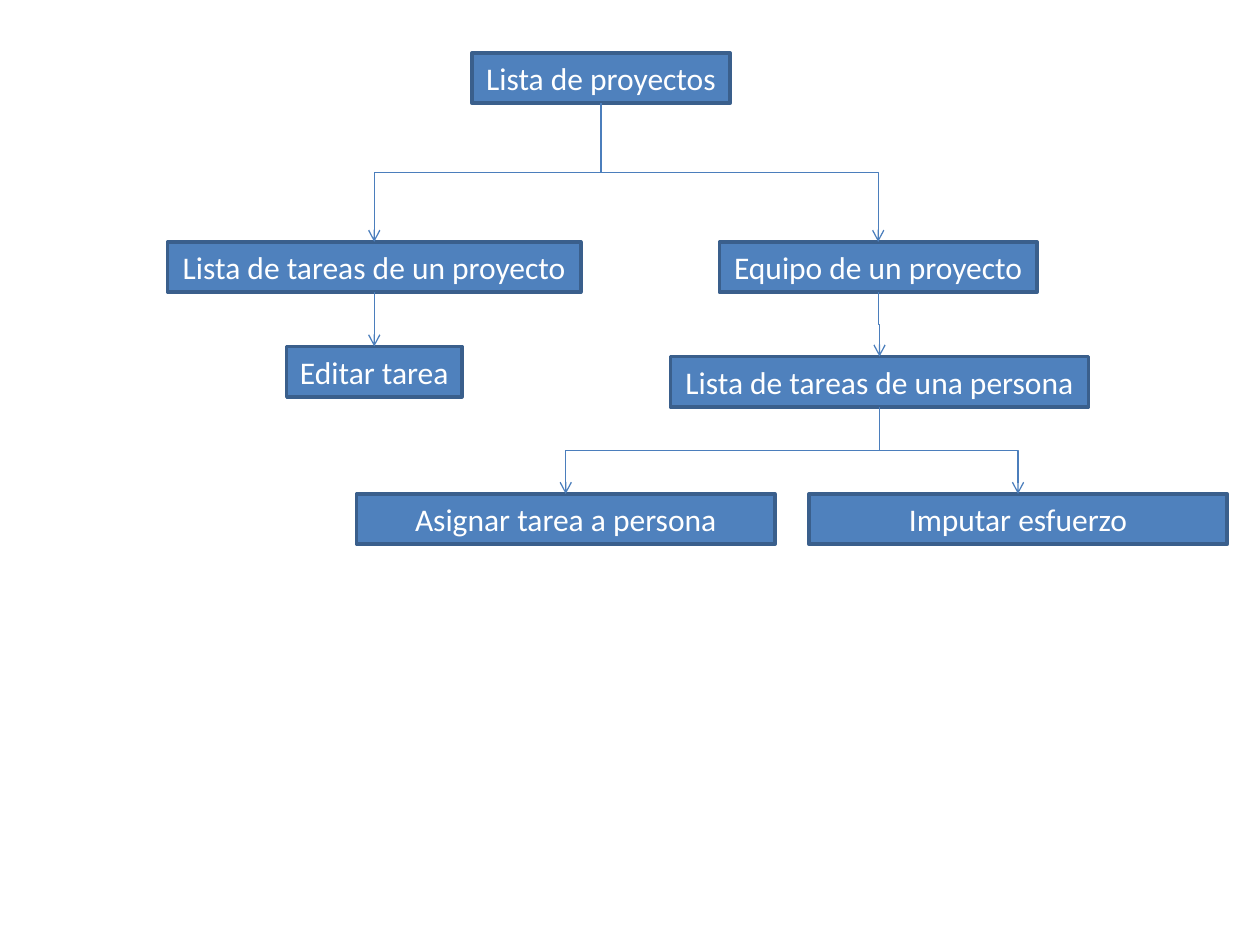
"""Build a slide with the screen map of a project tracker."""
from pptx import Presentation
from pptx.dml.color import RGBColor
from pptx.enum.shapes import MSO_CONNECTOR as Link, MSO_SHAPE as Shape
from pptx.enum.text import MSO_ANCHOR as Anchor, MSO_AUTO_SIZE as Fit, PP_ALIGN as Align
from pptx.oxml.ns import qn
from pptx.util import Inches, Pt
from lxml.etree import SubElement

BLUE = RGBColor(0x4F, 0x81, 0xBD)
EDGE = RGBColor(0x3A, 0x5F, 0x8C)
WIRE = RGBColor(0x4B, 0x7E, 0xBC)
WHITE = RGBColor(0xFF, 0xFF, 0xFF)
HIGH = 0.4

NODES = {
    "list": ("Lista de proyectos", 4.77, 0.42, 2.05, False),
    "tasks": ("Lista de tareas de un proyecto", 2.97, 1.92, 3.28, False),
    "team": ("Equipo de un proyecto", 6.97, 1.92, 2.52, False),
    "person": ("Lista de tareas de una persona", 6.98, 2.83, 3.32, False),
    "edit": ("Editar tarea", 2.97, 2.75, 1.39, False),
    "effort": ("Imputar esfuerzo", 8.08, 3.92, 3.32, True),
    "assign": ("Asignar tarea a persona", 4.49, 3.92, 3.32, True),
}
LINKS = [
    ("list", "tasks"), ("list", "team"), ("team", "person"),
    ("tasks", "edit"), ("person", "effort"), ("person", "assign"),
]


def write(frame, text, size=18, font="Calibri", color=WHITE, wrap=False):
    frame.word_wrap = wrap
    frame.auto_size = Fit.SHAPE_TO_FIT_TEXT
    frame.vertical_anchor = Anchor.MIDDLE
    para = frame.paragraphs[0]
    para.alignment = Align.CENTER
    run = para.add_run()
    run.text = text
    run.font.size = Pt(size)
    run.font.name = font
    run.font.color.rgb = color


def add_box(slide, text, mid, top, width, wrap):
    box = slide.shapes.add_shape(
        Shape.RECTANGLE, Inches(mid - width / 2), Inches(top),
        Inches(width), Inches(HIGH))
    box.shadow.inherit = False
    box.fill.solid()
    box.fill.fore_color.rgb = BLUE
    box.line.color.rgb = EDGE
    box.line.width = Pt(2)
    write(box.text_frame, text, wrap=wrap)
    return box


def add_link(slide, start, end):
    link = slide.shapes.add_connector(Link.ELBOW, 0, 0, 0, 0)
    link.begin_connect(start, 2)
    link.end_connect(end, 0)
    x1, y1 = start.left + start.width // 2, start.top + start.height
    x2, y2 = end.left + end.width // 2, end.top
    run, drop = x2 - x1, y2 - y1
    link.width, link.height = drop, abs(run)
    link.left = (x1 + x2 - drop) // 2
    link.top = (y1 + y2 - abs(run)) // 2
    props = link._element.spPr
    turn = props.find(qn("a:xfrm"))
    right = run > 0
    turn.set("rot", str((270 if right else 90) * 60000))
    turn.set("flipH", "1" if right else "0")
    turn.set("flipV", "0")
    link.line.color.rgb = WIRE
    link.line.width = Pt(0.75)
    SubElement(props.find(qn("a:ln")), qn("a:tailEnd"), type="arrow")
    SubElement(props, qn("a:effectLst"))


def main():
    deck = Presentation()
    deck.slide_width, deck.slide_height = Inches(10), Inches(7.5)
    slide = deck.slides.add_slide(deck.slide_layouts[6])
    boxes = {key: add_box(slide, *node) for key, node in NODES.items()}
    for start, end in LINKS:
        add_link(slide, boxes[start], boxes[end])
    deck.save("out.pptx")


if __name__ == "__main__":
    main()
